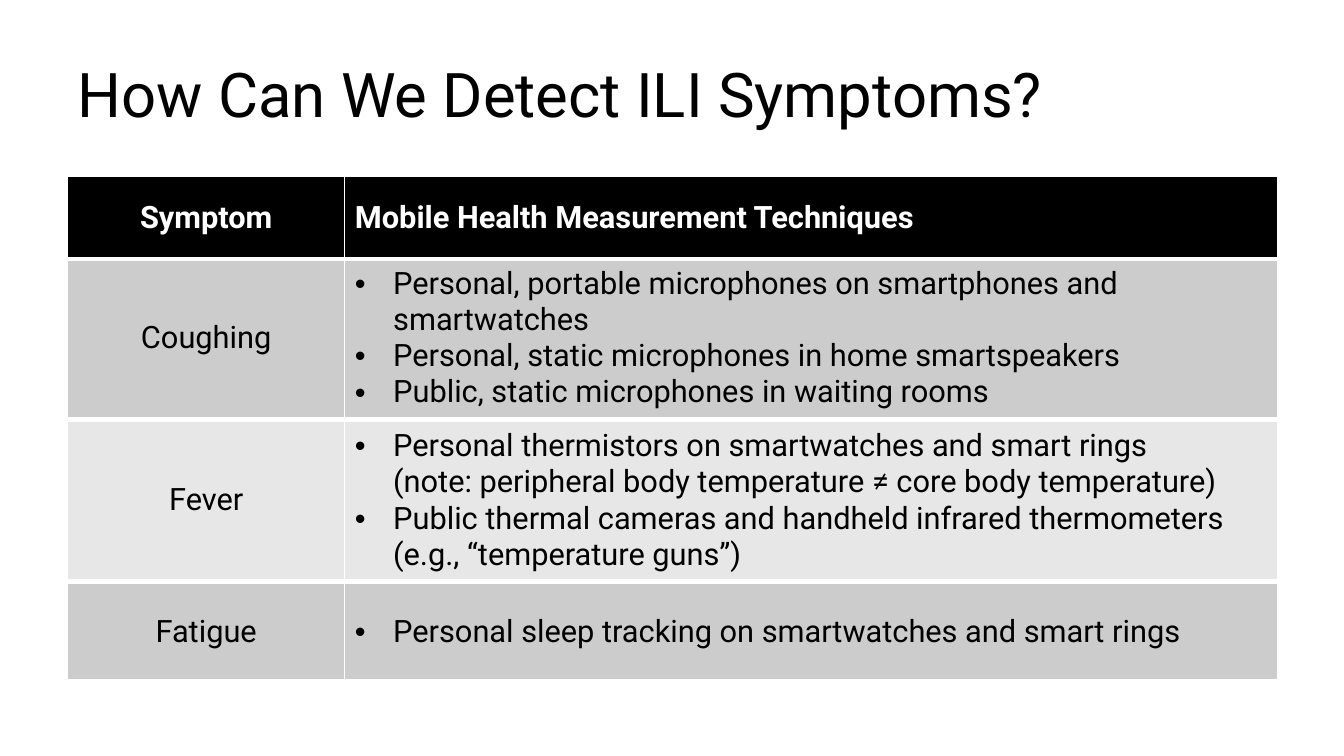
"""Builds the slide on detecting ILI symptoms with mobile health techniques."""
import dataclasses

import lxml.etree
import pptx
import pptx.dml.color
import pptx.enum.text
import pptx.oxml.ns
import pptx.util

ALIGN = pptx.enum.text.PP_ALIGN
MIDDLE = pptx.enum.text.MSO_ANCHOR.MIDDLE


@dataclasses.dataclass(frozen=True)
class Theme:
    """Colours, type sizes and measures in inches."""
    font: str = "Roboto"
    title_size: int = 44
    table_size: int = 22
    ink: str = "000000"
    paper: str = "FFFFFF"
    dark_band: str = "CCCCCC"
    light_band: str = "E7E7E7"
    width: float = 13.33
    height: float = 7.5
    left: float = 0.67
    columns: tuple = (2.75, 9.25)
    header_row: float = 0.82
    tall_row: float = 1.57
    short_row: float = 0.95
    table_top: float = 1.75
    gap: float = 0.04
    indent: float = 0.38


THEME = Theme()


@dataclasses.dataclass(frozen=True)
class Row:
    """One symptom, its techniques and the look of its row."""
    symptom: str
    techniques: tuple
    height: float
    fill: str
    ink: str = THEME.ink
    header: bool = False


HEADER = Row("Symptom", ("Mobile Health Measurement Techniques",),
             THEME.header_row, THEME.ink, THEME.paper, True)
COUGHING = Row("Coughing", (
    "Personal, portable microphones on smartphones and smartwatches",
    "Personal, static microphones in home smartspeakers",
    "Public, static microphones in waiting rooms",
), THEME.tall_row, THEME.dark_band)
FEVER = Row("Fever", (
    "Personal thermistors on smartwatches and smart rings \v"
    "(note: peripheral body temperature ≠ core body temperature)",
    "Public thermal cameras and handheld infrared thermometers "
    "(e.g., “temperature guns”)",
), THEME.tall_row, THEME.light_band)
FATIGUE = Row("Fatigue", ("Personal sleep tracking on smartwatches and smart rings",),
              THEME.short_row, THEME.dark_band)
TABLES = ((HEADER, COUGHING), (FEVER,), (FATIGUE,))


def apply(target, formats):
    """Set each attribute of target from a dict of format values."""
    for name, value in formats.items():
        setattr(target, name, value)


def add_child(parent, tag, **attributes):
    """Append a DrawingML element with the given attributes."""
    return lxml.etree.SubElement(parent, pptx.oxml.ns.qn(tag), attributes)


def write(frame, lines, size, ink, bold=False, align=ALIGN.LEFT):
    """Write lines as paragraphs of a text frame and return the paragraphs."""
    frame.text = "\n".join(lines)
    for paragraph in frame.paragraphs:
        paragraph.alignment = align
        for run in paragraph.runs:
            apply(run.font, {"name": THEME.font, "size": pptx.util.Pt(size), "bold": bold})
            run.font.color.rgb = pptx.dml.color.RGBColor.from_string(ink)
    return frame.paragraphs


def add_bullet(paragraph):
    """Give a paragraph a round bullet with a hanging indent."""
    indent = pptx.util.Inches(THEME.indent)
    properties = paragraph._p.get_or_add_pPr()
    properties.set("marL", str(indent))
    properties.set("indent", str(-indent))
    add_child(properties, "a:buFont", typeface="Arial")
    add_child(properties, "a:buChar", char="•")


def add_borders(cell, bottom):
    """Draw paper-coloured borders, the lower one with its own width."""
    properties = cell._tc.get_or_add_tcPr()
    for side, points in {"L": 1, "R": 1, "T": 1, "B": bottom}.items():
        line = add_child(properties, f"a:ln{side}", w=str(pptx.util.Pt(points)))
        add_child(add_child(line, "a:solidFill"), "a:srgbClr", val=THEME.paper)


def format_cell(cell, row):
    """Anchor, border and fill a cell to suit its row."""
    cell.vertical_anchor = MIDDLE
    add_borders(cell, 3 if row.header else 1)
    cell.fill.solid()
    cell.fill.fore_color.rgb = pptx.dml.color.RGBColor.from_string(row.fill)


def fill_row(cells, row):
    """Fill the symptom cell and the techniques cell of a row."""
    symptom, techniques = cells
    write(symptom.text_frame, (row.symptom,), THEME.table_size, row.ink,
          row.header, ALIGN.CENTER)
    paragraphs = write(techniques.text_frame, row.techniques, THEME.table_size,
                       row.ink, row.header)
    if not row.header:
        for paragraph in paragraphs:
            add_bullet(paragraph)
    for cell in cells:
        format_cell(cell, row)


def add_symptom_table(slide, rows, top):
    """Add a table of symptom rows and return its height in inches."""
    height = sum(row.height for row in rows)
    box = map(pptx.util.Inches, (THEME.left, top, sum(THEME.columns), height))
    table = slide.shapes.add_table(len(rows), len(THEME.columns), *box).table
    apply(table, {"first_row": rows[0].header, "horz_banding": False})
    for column, width in zip(table.columns, THEME.columns):
        column.width = pptx.util.Inches(width)
    for line, row in zip(table.rows, rows):
        line.height = pptx.util.Inches(row.height)
        fill_row(tuple(line.cells), row)
    return height


def set_title(slide, text):
    """Place and format the title placeholder."""
    title = slide.shapes.title
    apply(title, {
        "left": pptx.util.Inches(THEME.left),
        "top": pptx.util.Inches(THEME.height * 0.04),
        "width": pptx.util.Inches(sum(THEME.columns)),
        "height": pptx.util.Inches(THEME.height / 6),
    })
    apply(title.text_frame, {"vertical_anchor": MIDDLE, "word_wrap": True})
    write(title.text_frame, (text,), THEME.title_size, THEME.ink)


def main():
    """Build the slide and save it."""
    deck = pptx.Presentation()
    apply(deck, {"slide_width": pptx.util.Inches(THEME.width),
                 "slide_height": pptx.util.Inches(THEME.height)})
    slide = deck.slides.add_slide(deck.slide_layouts.get_by_name("Title Only"))
    set_title(slide, "How Can We Detect ILI Symptoms?")
    top = THEME.table_top
    for rows in TABLES:
        top += add_symptom_table(slide, rows, top) + THEME.gap
    deck.save("out.pptx")


if __name__ == "__main__":
    main()
